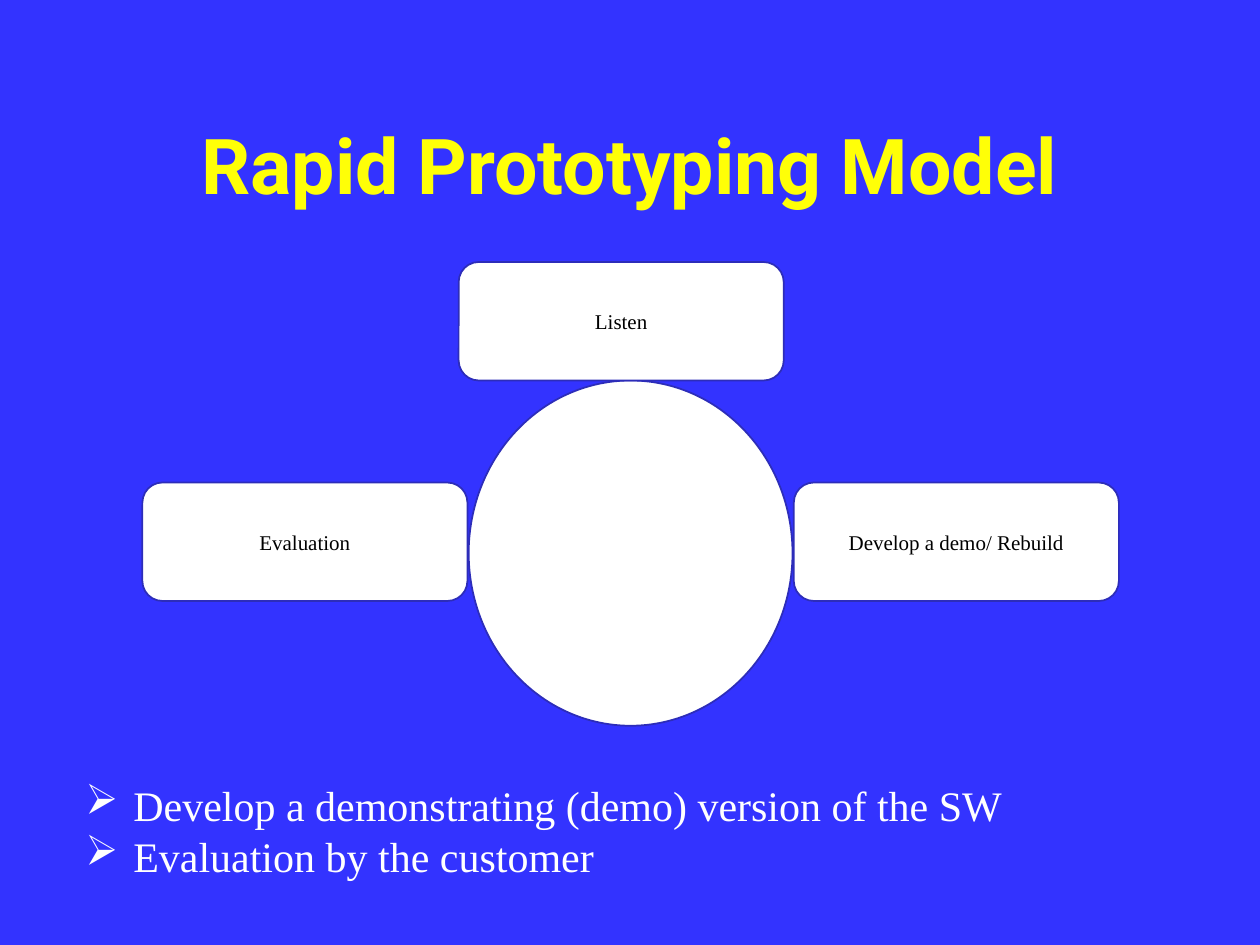
"""Build the Rapid Prototyping Model slide."""
from dataclasses import dataclass

from lxml import etree
from pptx import Presentation
from pptx.dml.color import RGBColor
from pptx.enum.shapes import MSO_SHAPE
from pptx.enum.text import MSO_ANCHOR, PP_ALIGN
from pptx.oxml.ns import qn
from pptx.util import Inches, Pt

ROUND_RECT = MSO_SHAPE.ROUNDED_RECTANGLE
ELLIPSE = MSO_SHAPE.OVAL
MIDDLE = MSO_ANCHOR.MIDDLE
TOP = MSO_ANCHOR.TOP
CENTER = PP_ALIGN.CENTER
JUSTIFY = PP_ALIGN.JUSTIFY


@dataclass(frozen=True)
class Theme:
    background: str = "3333FF"
    title: str = "FFFF07"
    fill: str = "FFFFFF"
    outline: str = "2D2DB9"
    label: str = "000000"
    body: str = "FFFFFF"
    title_font: str = "Roboto"
    body_font: str = "Times New Roman"
    title_size: int = 44
    label_size: int = 12
    body_size: int = 24


@dataclass(frozen=True)
class Stage:
    text: str
    left: float
    top: float


THEME = Theme()
STAGE_WIDTH, STAGE_HEIGHT = 2.58, 0.94
STAGES = [
    Stage("Evaluation", 1.13, 3.83),
    Stage("Develop a demo/ Rebuild", 6.3, 3.83),
    Stage("Listen", 3.64, 2.08),
]
POINTS = [
    ("Develop a demonstrating (demo) version of the SW", JUSTIFY),
    ("Evaluation by the customer", None),
]
HANGING = 0.38


def add_run(p, text: str, font: str, size: int, color: str, bold: bool = False) -> None:
    r = p.add_run()
    r.text = text
    r.font.name = font
    r.font.size = Pt(size)
    r.font.bold = bold
    r.font.color.rgb = RGBColor.from_string(color)


def add_text_box(s, left: float, top: float, width: float, height: float, anchor):
    box = s.shapes.add_textbox(Inches(left), Inches(top), Inches(width), Inches(height))
    tf = box.text_frame
    tf.word_wrap = True
    tf.vertical_anchor = anchor
    return tf


def add_outlined(s, kind, left: float, top: float, width: float, height: float):
    sp = s.shapes.add_shape(kind, Inches(left), Inches(top), Inches(width), Inches(height))
    sp.shadow.inherit = False
    sp.fill.solid()
    sp.fill.fore_color.rgb = RGBColor.from_string(THEME.fill)
    sp.line.color.rgb = RGBColor.from_string(THEME.outline)
    sp.line.width = Pt(1)
    return sp


def add_stage(s, stage: Stage) -> None:
    sp = add_outlined(s, ROUND_RECT, stage.left, stage.top, STAGE_WIDTH, STAGE_HEIGHT)
    sp.adjustments[0] = 0.17
    tf = sp.text_frame
    tf.word_wrap = True
    tf.vertical_anchor = MIDDLE
    p = tf.paragraphs[0]
    p.alignment = CENTER
    add_run(p, stage.text, THEME.body_font, THEME.label_size, THEME.label)


def add_bullet(p) -> None:
    pPr = p._p.get_or_add_pPr()
    pPr.set("marL", str(Inches(HANGING)))
    pPr.set("indent", str(-Inches(HANGING)))
    color = etree.SubElement(pPr, qn("a:buClr"))
    etree.SubElement(color, qn("a:srgbClr"), val=THEME.body)
    etree.SubElement(pPr, qn("a:buChar"), char="➢")


def add_points(s) -> None:
    tf = add_text_box(s, 0.58, 6.14, 8.29, 0.9, TOP)
    for i, (text, alignment) in enumerate(POINTS):
        p = tf.add_paragraph() if i else tf.paragraphs[0]
        add_bullet(p)
        p.alignment = alignment
        add_run(p, text, THEME.body_font, THEME.body_size, THEME.body)


def main() -> None:
    prs = Presentation()
    prs.slide_width, prs.slide_height = Inches(10), Inches(7.5)
    s = prs.slides.add_slide(prs.slide_layouts[6])
    s.background.fill.solid()
    s.background.fill.fore_color.rgb = RGBColor.from_string(THEME.background)

    p = add_text_box(s, 0.75, 0.67, 8.5, 1.25, MIDDLE).paragraphs[0]
    p.alignment = CENTER
    add_run(p, "Rapid Prototyping Model", THEME.title_font, THEME.title_size, THEME.title, bold=True)

    add_outlined(s, ELLIPSE, 3.72, 3.02, 2.57, 2.74)
    for stage in STAGES:
        add_stage(s, stage)
    add_points(s)
    prs.save("out.pptx")


if __name__ == "__main__":
    main()
